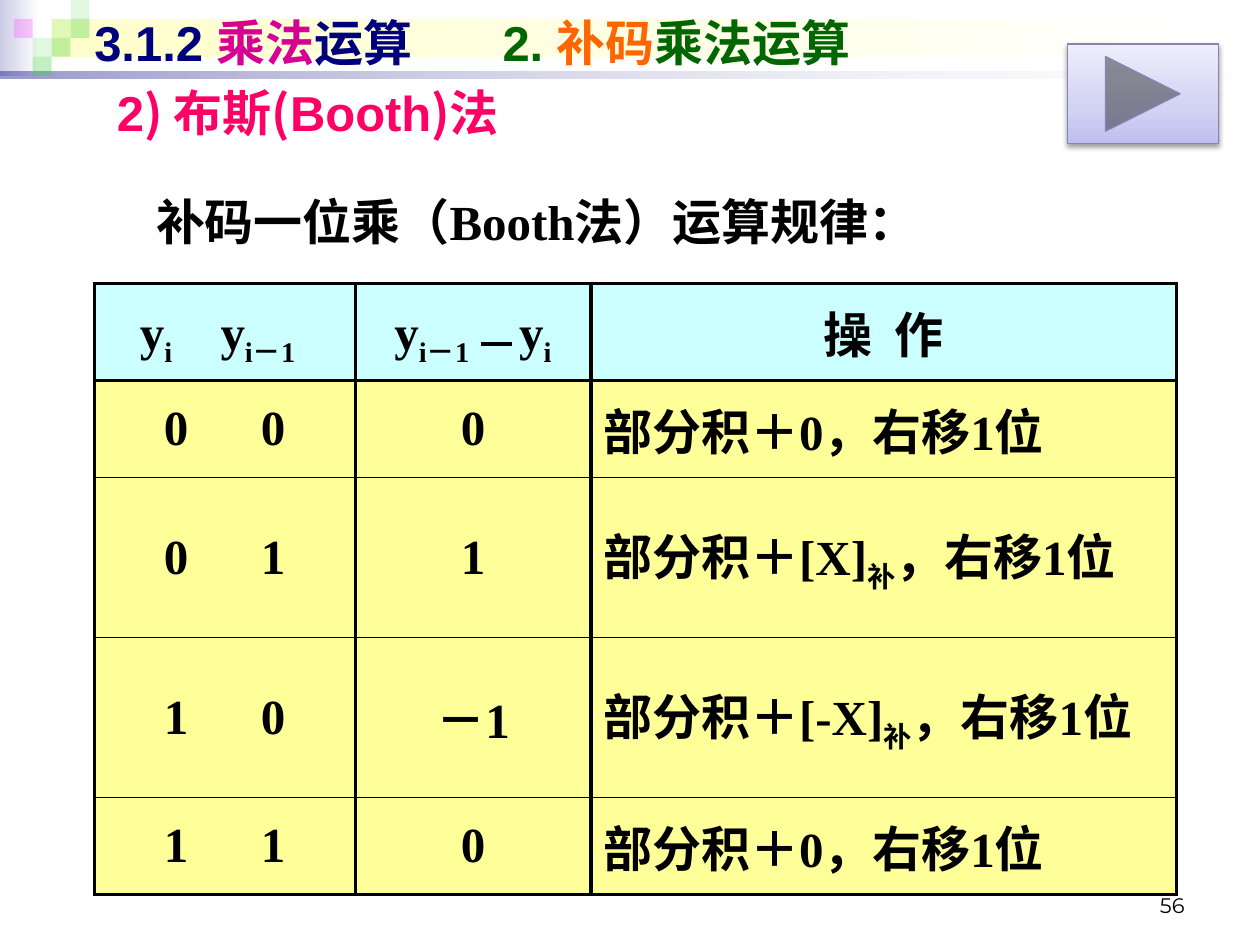
from lxml import etree
from pptx import Presentation
from pptx.dml.color import RGBColor
from pptx.enum.shapes import MSO_CONNECTOR, MSO_SHAPE
from pptx.enum.text import MSO_ANCHOR, PP_ALIGN
from pptx.oxml.ns import qn
from pptx.util import Inches, Pt

RECT = MSO_SHAPE.RECTANGLE
NEXT = MSO_SHAPE.ACTION_BUTTON_FORWARD_OR_NEXT
LINE = MSO_CONNECTOR.STRAIGHT
TOP, MID, LOW = MSO_ANCHOR.TOP, MSO_ANCHOR.MIDDLE, MSO_ANCHOR.BOTTOM
LEFT, MIDST, RIGHT = PP_ALIGN.LEFT, PP_ALIGN.CENTER, PP_ALIGN.RIGHT

BLACK = RGBColor(0, 0, 0)
WHITE = RGBColor(255, 255, 255)
NAVY = RGBColor(0x00, 0x00, 0x7D)
PLUM = RGBColor(0xD6, 0x00, 0x93)
GREEN = RGBColor(0x00, 0x66, 0x00)
ORANGE = RGBColor(0xFF, 0x66, 0x00)
ROSE = RGBColor(0xFF, 0x00, 0x66)
LIME = RGBColor(0x33, 0xCC, 0x33)
PINK = RGBColor(0xFF, 0x00, 0xFF)
MIST = RGBColor(0xCC, 0xCC, 0xE6)
CREAM = RGBColor(0xFF, 0xFF, 0xCC)
CYAN = RGBColor(0xCC, 0xFF, 0xFF)
YELLOW = RGBColor(0xFF, 0xFF, 0x99)
EDGE = RGBColor(0x86, 0x86, 0xB6)
SHADES = [(0, RGBColor(0xBF, 0xBF, 0xF0), 100),
          (35, RGBColor(0xD2, 0xD2, 0xF3), 100),
          (100, RGBColor(0xED, 0xED, 0xFB), 100)]

SANS, SERIF, HAN, NUM = "Arial", "Times New Roman", "Noto Sans CJK SC", "Montserrat"
HEAVY = {"size": Pt(28), "bold": True}
SMALL = {"size": Pt(12), "bold": False}

BANDS = [
    ((0, 0, 0.31, 0.6), [(0, MIST, 100), (100, WHITE, 100)]),
    ((0.41, 0.15, 9.55, 0.3), [(0, CREAM, 100), (100, WHITE, 100)]),
    ((0, 0.57, 10, 0.05), [(0, NAVY, 40), (100, WHITE, 10)]),
]
UNIT = 0.15
TILES = [(2, 1, LIME, 15), (3, 0, LIME, 15), (3, 1, LIME, 30), (1, 2, LIME, 15),
         (0, 1, PINK, 20), (2, 2, LIME, 30), (1, 3, LIME, 30)]

TEXTS = [
    ((7.17, 6.83, 2.33, 0.5), LOW, RIGHT, None, SMALL, [("56", BLACK, NUM)]),
    ((0.65, 0.05, 9, 0.57), MID, LEFT, 3.24, HEAVY,
     [("3.1.2 ", NAVY, SANS), ("乘法", PLUM, SANS), ("运算\t", NAVY, SANS),
      ("2. ", GREEN, SANS), ("补码", ORANGE, SANS), ("乘法运算", GREEN, SANS)]),
    ((0.83, 0.6, 8.76, 0.57), MID, LEFT, None, HEAVY,
     [("2", ROSE, SANS), (") ", ROSE, HAN), ("布斯", ROSE, SANS), ("(", ROSE, HAN),
      ("Booth", ROSE, SANS), (")", ROSE, HAN), ("法", ROSE, SANS)]),
    ((1.14, 1.47, 8.51, 0.63), TOP, LEFT, None, HEAVY,
     [("补码一位乘（Booth法）运算规律：", BLACK, SERIF)]),
]

COLS = [2.07, 1.87, 4.65]
HIGH, TALL = 0.77, 1.27
SUB = -25000
HEAD = [
    (0.36, 0.64, [("y", 0), ("i", SUB), ("\ty", 0), ("i－1", SUB)]),
    (0.31, 0.99, [("y", 0), ("i－1", SUB), ("\ty", 0), ("i", SUB)]),
    (1.85, 0.56, [("操\t作", 0)]),
]
BITS = (0.55, 0.77)
RULES = [("0\t0", "0", None), ("0\t1", "1", "[X]"),
         ("1\t0", "－1", "[-X]"), ("1\t1", "0", None)]


def node(up, tag, **attrs):
    return etree.SubElement(up, qn(tag), {k: str(v) for k, v in attrs.items()})


def tint(up, color, alpha=100):
    clr = node(up, "a:srgbClr", val=color)
    if alpha < 100:
        node(clr, "a:alpha", val=alpha * 1000)


def block(kind, box, stops, ang=0):
    shape = slide.shapes.add_shape(kind, *map(Inches, box))
    shape.shadow.inherit = False
    shape.line.fill.background()
    shape.fill.gradient()
    grad = shape.fill._xPr.find(qn("a:gradFill"))
    for kid in list(grad):
        grad.remove(kid)
    row = node(grad, "a:gsLst")
    for pos, color, alpha in stops:
        tint(node(row, "a:gs", pos=pos * 1000), color, alpha)
    node(grad, "a:lin", ang=ang * 60000, scaled=0)
    return shape


def write(frame, runs, style, align, tab=None):
    para = frame.paragraphs[0]
    para.alignment = align
    if tab:
        tabs = node(para._p.get_or_add_pPr(), "a:tabLst")
        node(tabs, "a:tab", pos=Inches(tab), algn="l")
    for text, color, face, base in runs:
        run = para.add_run()
        run.text = text
        for key, val in {**style, "name": face}.items():
            setattr(run.font, key, val)
        run.font.color.rgb = color
        props = run._r.get_or_add_rPr()
        node(props, "a:ea", typeface=HAN)
        if base:
            props.set("baseline", str(base))


def cell(row, col, runs, align, pad=0.1, tab=None):
    box = table.cell(row, col)
    last = len(RULES)
    wide = {"L": 2.25, "R": 2.25, "T": 2.25 if row < 2 else 1,
            "B": 2.25 if row in (0, last) else 1}
    props = box._tc.get_or_add_tcPr()
    for side, width in wide.items():
        edge = node(props, "a:ln" + side, w=Pt(width))
        tint(node(edge, "a:solidFill"), BLACK)
    box.fill.solid()
    box.fill.fore_color.rgb = YELLOW if row else CYAN
    box.vertical_anchor = MID
    box.margin_left = Inches(pad)
    write(box.text_frame, [(t, BLACK, SERIF, b) for t, b in runs], HEAVY, align, tab)


deck = Presentation()
deck.slide_width, deck.slide_height = Inches(10), Inches(7.5)
slide = deck.slides.add_slide(deck.slide_layouts[6])

for box, stops in BANDS:
    block(RECT, box, stops)
for col, row, color, alpha in TILES:
    box = (0.11 + UNIT * col, UNIT * row, UNIT, UNIT)
    tile = slide.shapes.add_shape(RECT, *map(Inches, box))
    tile.shadow.inherit = False
    tile.line.fill.background()
    tile.fill.solid()
    tile.fill.fore_color.rgb = color
    clr = tile.fill._xPr.find(qn("a:solidFill"))[0]
    node(clr, "a:alpha", val=alpha * 1000)

for box, anchor, align, tab, style, runs in TEXTS:
    frame = slide.shapes.add_textbox(*map(Inches, box)).text_frame
    frame.word_wrap = True
    frame.vertical_anchor = anchor
    write(frame, [(*run, 0) for run in runs], style, align, tab)

highs = [HIGH] + [TALL if term else HIGH for _, _, term in RULES]
size = (0.75, 2.25, sum(COLS), sum(highs))
table = slide.shapes.add_table(len(highs), len(COLS), *map(Inches, size)).table
table.first_row = table.horz_banding = False
for col, width in zip(table.columns, COLS):
    col.width = Inches(width)
for row, high in zip(table.rows, highs):
    row.height = Inches(high)
for col, (pad, tab, runs) in enumerate(HEAD):
    cell(0, col, runs, LEFT, pad, tab)
for row, (bits, diff, term) in enumerate(RULES, 1):
    cell(row, 0, [(bits, 0)], LEFT, *BITS)
    cell(row, 1, [(diff, 0)], MIDST)
    act = [("部分积＋0，右移1位", 0)]
    if term:
        act = [("部分积＋" + term, 0), ("补", SUB), ("，右移1位", 0)]
    cell(row, 2, act, LEFT)

dash = slide.shapes.add_connector(LINE, *map(Inches, (3.82, 2.73, 4.06, 2.73)))
dash.line.color.rgb = BLACK
dash.line.width = Pt(2.25)
node(dash._element.spPr, "a:effectLst")

button = block(NEXT, (8.47, 0.35, 1.2, 0.79), SHADES, 270)
button.line.color.rgb = EDGE
button.line.width = Pt(0.75)
glow = button._element.spPr.find(qn("a:effectLst"))
tint(node(glow, "a:outerShdw", blurRad=Pt(3.1), dist=Pt(1.6), dir=90 * 60000,
          rotWithShape=0), BLACK, 38)

deck.save("out.pptx")
